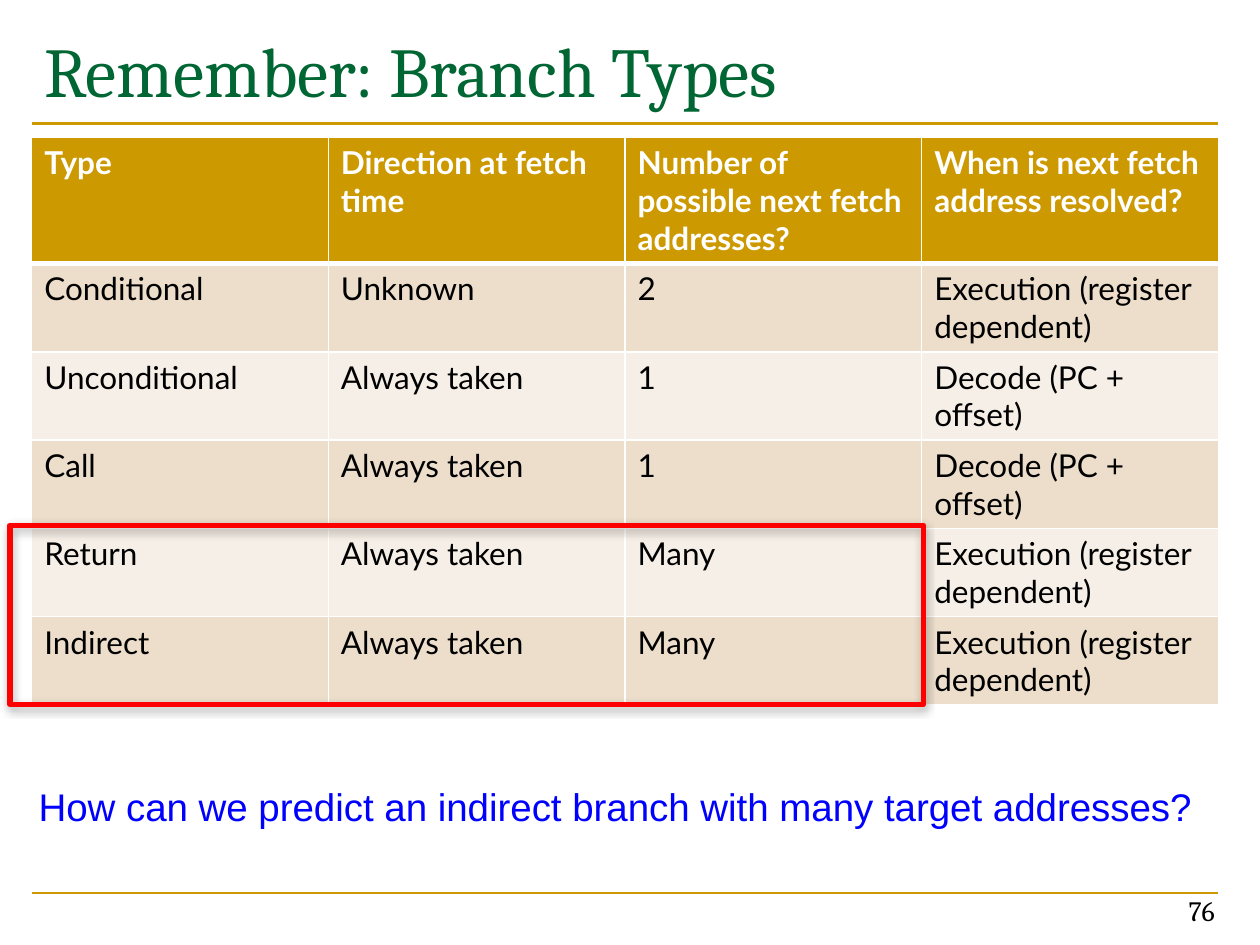
from lxml import etree
from pptx import Presentation
from pptx import util as u
from pptx.dml.color import RGBColor
from pptx.enum import shapes, text
from pptx.oxml import ns

COLORS = {"gold": "CC9900", "sand": "ECDECB", "cream": "F6EFE7", "green": "006633",
          "blue": "0000FF", "red": "FF0000", "black": "000000", "white": "FFFFFF"}

TITLE = "Remember: Branch Types"
QUESTION = "How can we predict an indirect branch with many target addresses?"
PAGE = "76"
HEADINGS = ("Type", "Direction at fetch time",
            "Number of possible next fetch addresses?", "When is next fetch address resolved?")
REGISTER = "Execution (register dependent)"
OFFSET = "Decode (PC + offset)"
BRANCHES = [
    ("Conditional", "Unknown", "2", REGISTER),
    ("Unconditional", "Always taken", "1", OFFSET),
    ("Call", "Always taken", "1", OFFSET),
    ("Return", "Always taken", "Many", REGISTER),
    ("Indirect", "Always taken", "Many", REGISTER),
]

LEFT, WIDTH = 0.64, 23.92
TABLE_TOP, HEADING_HEIGHT, BRANCH_HEIGHT = 2.77, 2.54, 1.78
RULES = (2.49, 18.0)


def color(name):
    return RGBColor.from_string(COLORS[name])


def write(frame, words, size, font, ink, bold=False, align=text.PP_ALIGN.LEFT,
          anchor=text.MSO_ANCHOR.TOP, wrap=True):
    frame.word_wrap = wrap
    frame.vertical_anchor = anchor
    paragraph = frame.paragraphs[0]
    paragraph.alignment = align
    run = paragraph.add_run()
    run.text = words
    run.font.size = u.Pt(size)
    run.font.name = font
    run.font.bold = bold
    run.font.color.rgb = color(ink)


def add_text(box, words, **style):
    frame = slide.shapes.add_textbox(*map(u.Cm, box)).text_frame
    write(frame, words, **style)
    return frame


def add_xml(parent, tag, **attributes):
    return etree.SubElement(parent, ns.qn(tag), attributes)


def add_borders(cell, **widths):
    properties = cell._tc.get_or_add_tcPr()
    for position, (side, points) in enumerate(widths.items()):
        border = add_xml(properties, f"a:ln{side}", w=str(u.Pt(points)))
        add_xml(add_xml(border, "a:solidFill"), "a:srgbClr", val=COLORS["white"])
        properties.insert(position, border)


deck = Presentation()
deck.slide_width, deck.slide_height = u.Cm(25.4), u.Cm(19.05)
slide = deck.slides.add_slide(deck.slide_layouts[6])

for y in RULES:
    rule = slide.shapes.add_connector(shapes.MSO_CONNECTOR.STRAIGHT, u.Cm(LEFT), u.Cm(y),
                                      u.Cm(LEFT + WIDTH), u.Cm(y))
    rule.line.color.rgb = color("gold")
    rule.line.width = u.Pt(1.5)
    add_xml(rule._element.spPr, "a:effectLst")

add_text((LEFT, 0.43, WIDTH, 2.97), TITLE, size=40, font="Cambria", ink="green")

rows = [HEADINGS] + BRANCHES
table = slide.shapes.add_table(
    len(rows), len(HEADINGS), u.Cm(LEFT), u.Cm(TABLE_TOP), u.Cm(WIDTH),
    u.Cm(HEADING_HEIGHT + BRANCH_HEIGHT * len(BRANCHES))).table
for column in table.columns:
    column.width = u.Cm(WIDTH / len(HEADINGS))
for r, row in enumerate(rows):
    heading = r == 0
    table.rows[r].height = u.Cm(HEADING_HEIGHT if heading else BRANCH_HEIGHT)
    fill = "gold" if heading else ("cream", "sand")[r % 2]
    for c, words in enumerate(row):
        cell = table.cell(r, c)
        cell.fill.solid()
        cell.fill.fore_color.rgb = color(fill)
        add_borders(cell, L=1, R=1, T=3 if r == 1 else 1, B=3 if heading else 1)
        write(cell.text_frame, words, size=18, font="Lato",
              ink="white" if heading else "black", bold=heading)

add_text((18.82, 17.55, 5.92, 1.27), PAGE, size=16, font="Cambria", ink="black",
         align=text.PP_ALIGN.RIGHT, anchor=text.MSO_ANCHOR.BOTTOM)
question = add_text((0.53, 15.67, 24.87, 1.19), QUESTION, size=22, font="Arial", ink="blue",
                    wrap=False)
question.auto_size = text.MSO_AUTO_SIZE.SHAPE_TO_FIT_TEXT

highlight = slide.shapes.add_shape(shapes.MSO_SHAPE.RECTANGLE,
                                   *map(u.Cm, (0.2, 10.59, 18.42, 3.61)))
highlight.fill.background()
highlight.line.color.rgb = color("red")
highlight.line.width = u.Pt(3)
highlight.shadow.inherit = False
shadow = add_xml(highlight._element.spPr.find(ns.qn("a:effectLst")), "a:outerShdw",
                 blurRad=str(u.Pt(5)), dist=str(u.Pt(1.8)), dir="5400000", rotWithShape="0")
add_xml(add_xml(shadow, "a:srgbClr", val=COLORS["black"]), "a:alpha", val="35000")

deck.save("out.pptx")
